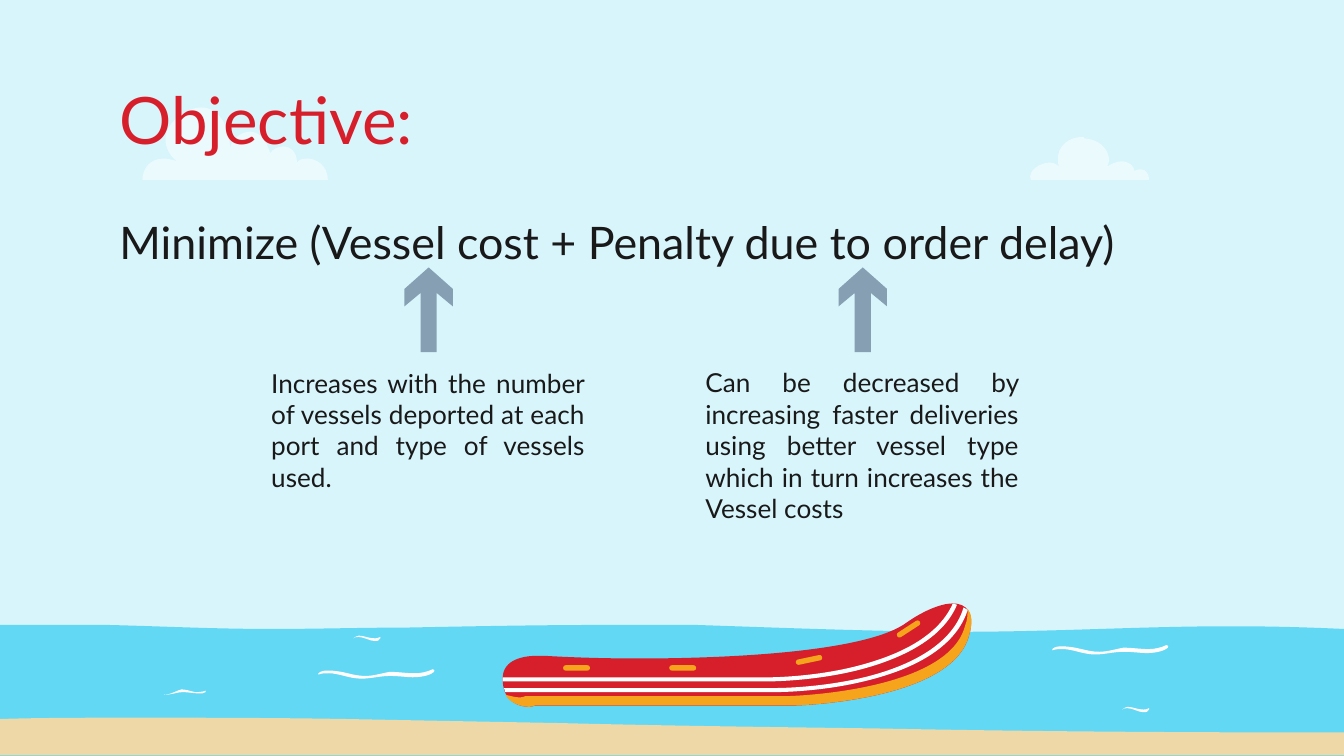
from pptx import Presentation
from pptx.dml.color import RGBColor
from pptx.enum.shapes import MSO_SHAPE
from pptx.enum.text import MSO_ANCHOR, PP_ALIGN
from pptx.oxml.ns import qn
from pptx.util import Cm, Pt
from lxml import etree

ROUNDED = MSO_SHAPE.ROUNDED_RECTANGLE
TOP, LEFT, JUSTIFY = MSO_ANCHOR.TOP, PP_ALIGN.LEFT, PP_ALIGN.JUSTIFY
FONT = "Lato"
COLORS = {"sky": "D8F5FC", "sea": "62D8F4", "sand": "EFD8A8", "white": "FFFFFF",
          "red": "D61F2B", "orange": "F6A41C", "ink": "191919", "arrow": "869FB2"}

# Text: wording, left, top, width, height (inches), size, colour, alignment
TEXTS = [
    ("Objective:", 0.79, 0.59, 8.43, 0.52, 35, "red", LEFT),
    ("Minimize (Vessel cost + Penalty due to order delay)",
     0.79, 1.6, 8.68, 0.42, 24, "ink", LEFT),
    ("Increases with the number of vessels deported at each port and type of "
     "vessels used.", 1.92, 2.73, 2.53, 0.91, 14, "ink", JUSTIFY),
    ("Can be decreased by increasing faster deliveries using better vessel type "
     "which in turn increases the Vessel costs",
     5.15, 2.73, 2.53, 1.2, 14, "ink", JUSTIFY),
]

# Outlines in hundredths of an inch: a start point, then lines (x, y)
# or Bezier curves (x1, y1, x2, y2, x, y)
SEA = [(452, 465), (474, 465, 496, 465, 518, 465), (577, 467, 628, 469, 690, 470),
       (774, 471, 841, 466, 916, 466), (951, 466, 977, 467, 1000, 468),
       (1000, 563), (0, 563), (0, 465), (27, 465, 53, 465, 80, 465),
       (121, 466, 159, 468, 202, 468), (236, 468, 269, 467, 302, 467),
       (351, 466, 402, 465, 452, 465)]
SAND = [(103, 534), (64, 534, 30, 534, 0, 535), (0, 562), (1000, 562), (1000, 545),
        (851, 545, 754, 544, 652, 542), (575, 541, 495, 540, 416, 538),
        (362, 537, 309, 536, 258, 535), (200, 534, 148, 534, 103, 534)]
LONG_WAVE = [(85, 0), (81, 2, 76, 3, 72, 3), (65, 3, 60, 2, 53, 2),
             (47, 3, 41, 5, 35, 5), (25, 5, 19, 1, 7, 1), (5, 1, 2, 1, 0, 3), (0, 4),
             (2, 3, 5, 3, 8, 3), (15, 3, 23, 7, 32, 7), (39, 7, 46, 5, 53, 5),
             (60, 5, 66, 6, 70, 6), (78, 6, 84, 4, 86, 2), (87, 1, 86, 0, 85, 0)]
MID_WAVE = [(13, 0), (9, 1, 5, 4, 0, 4), (6, 4, 10, 2, 14, 2), (18, 2, 22, 3, 26, 3),
            (28, 3, 30, 3, 31, 2), (31, 1), (28, 2, 26, 2, 23, 2),
            (19, 1, 16, 0, 13, 0)]
SHORT_WAVE = [(4, 0), (3, 0, 1, 1, 0, 2), (1, 1, 2, 1, 4, 1), (8, 1, 12, 4, 16, 4),
              (18, 4, 19, 4, 20, 2), (20, 1), (18, 2, 17, 2, 16, 2),
              (11, 2, 8, 0, 4, 0)]
WAVES = [(LONG_WAVE, 237, 498), (SHORT_WAVE, 263, 473), (MID_WAVE, 122, 513),
         (SHORT_WAVE, 835, 526), (LONG_WAVE, 783, 480)]
CLOUDS = [
    [(150, 80), (146, 80, 142, 81, 137, 84), (114, 98, 125, 116, 132, 120),
     (128, 119, 125, 118, 122, 118), (111, 118, 106, 126, 106, 134), (244, 134),
     (244, 123, 235, 118, 229, 118), (225, 118, 222, 119, 221, 121),
     (221, 113, 216, 109, 211, 109), (207, 109, 203, 111, 201, 114),
     (198, 103, 192, 98, 186, 98), (179, 98, 172, 104, 171, 111),
     (172, 99, 165, 80, 150, 80)],
    [(805, 102), (792, 102, 784, 113, 788, 124), (786, 122, 784, 121, 781, 121),
     (774, 121, 764, 127, 767, 134), (855, 134), (855, 130, 853, 126, 849, 126),
     (848, 126, 846, 126, 844, 127), (844, 123, 839, 120, 835, 120),
     (831, 120, 826, 122, 824, 124), (828, 115, 821, 104, 807, 103),
     (807, 102, 806, 102, 805, 102)],
]
RAFT = [
    ("red", [(709, 449), (699, 449, 685, 456, 675, 463), (646, 485, 544, 490, 475, 490),
             (435, 490, 405, 488, 405, 488), (405, 488, 403, 488, 400, 488),
             (391, 488, 374, 490, 374, 505), (374, 523, 387, 526, 394, 526),
             (396, 526, 398, 525, 398, 525), (592, 525),
             (592, 525, 708, 522, 721, 473), (726, 456, 719, 449, 709, 449)]),
    ("orange", [(720, 453), (720, 457, 720, 461, 718, 466),
                (705, 515, 587, 518, 587, 518), (391, 518),
                (391, 518, 389, 519, 387, 519), (384, 519, 380, 518, 376, 517),
                (380, 524, 389, 526, 394, 526), (396, 526, 398, 525, 398, 525),
                (592, 525), (592, 525, 708, 522, 721, 473),
                (724, 463, 723, 457, 720, 453)]),
    ("white", [(717, 452), (708, 482, 672, 497, 643, 504), (610, 512, 578, 512, 578, 512),
               (375, 512), (376, 515), (578, 515), (578, 515, 610, 515, 643, 507),
               (685, 497, 712, 479, 720, 454), (717, 452)]),
    ("white", [(709, 449), (697, 476, 664, 489, 636, 496), (604, 504, 572, 504, 572, 504),
               (374, 504), (374, 507), (572, 507), (572, 507, 604, 507, 637, 499),
               (677, 489, 703, 472, 712, 450), (709, 449)]),
]
# Raft handles: centre x, centre y (inches), rotation
HANDLES = [(4.29, 4.97, 0), (5.08, 4.97, 0), (6.02, 4.91, -12), (6.76, 4.68, -33)]
ARROW = [(0, 29), (12, 19), (12, 63), (24, 63), (24, 19), (36, 29), (36, 16),
         (18, 0), (0, 16)]
ARROW_LEFTS = [301, 624]


def inch(v):
    return Cm(v * 2.54)


def paint(sp, color, alpha=None):
    sp.shadow.inherit = False
    sp.fill.solid()
    sp.fill.fore_color.rgb = RGBColor.from_string(COLORS[color])
    sp.line.fill.background()
    if alpha is not None:
        clr = sp._element.spPr.find(qn("a:solidFill"))[0]
        etree.SubElement(clr, qn("a:alpha"), val=str(alpha * 1000))


def draw(shapes, outline, color, dx=0, dy=0, alpha=None):
    ends = [(seg[-2] + dx, seg[-1] + dy) for seg in outline]
    fb = shapes.build_freeform(*ends[0], scale=inch(0.01))
    fb.add_line_segments(ends[1:], close=True)
    sp = fb.convert_to_shape()
    # Turn the line segments that have control points into curves
    left, top = (min(axis) for axis in zip(*ends))
    lines = list(sp._element.spPr.iter(qn("a:lnTo")))
    for line, seg in zip(lines, outline[1:]):
        if len(seg) == 6:
            curve = etree.Element(qn("a:cubicBezTo"))
            for x, y in zip(seg[::2], seg[1::2]):
                etree.SubElement(curve, qn("a:pt"),
                                 x=str(x + dx - left), y=str(y + dy - top))
            line.getparent().replace(line, curve)
    paint(sp, color, alpha)


def add_text(shapes, text, x, y, w, h, size, color, align):
    tf = shapes.add_textbox(*map(inch, (x, y, w, h))).text_frame
    tf.word_wrap = True
    tf.vertical_anchor = TOP
    tf.margin_left = tf.margin_right = tf.margin_bottom = inch(0.1)
    tf.margin_top = 0
    p = tf.paragraphs[0]
    p.alignment = align
    r = p.add_run()
    r.text = text
    r.font.name = FONT
    r.font.size = Pt(size)
    r.font.color.rgb = RGBColor.from_string(COLORS[color])


prs = Presentation()
prs.slide_width, prs.slide_height = inch(10), inch(5.625)
s = prs.slides.add_slide(prs.slide_layouts[6])
s.background.fill.solid()
s.background.fill.fore_color.rgb = RGBColor.from_string(COLORS["sky"])

# Scenery
draw(s.shapes, SEA, "sea")
draw(s.shapes, SAND, "sand")
for wave, x, y in WAVES:
    draw(s.shapes, wave, "white", x, y)
for cloud in CLOUDS:
    draw(s.shapes, cloud, "white", alpha=50)

# Raft
raft = s.shapes.add_group_shape().shapes
for color, outline in RAFT:
    draw(raft, outline, color)
for cx, cy, angle in HANDLES:
    sp = raft.add_shape(ROUNDED, inch(cx - 0.1), inch(cy - 0.02), inch(0.2), inch(0.04))
    sp.adjustments[0] = 0.5
    sp.rotation = angle
    paint(sp, "orange")

# Arrows and text
for left in ARROW_LEFTS:
    draw(s.shapes, ARROW, "arrow", left, 199)
for item in TEXTS:
    add_text(s.shapes, *item)

prs.save("out.pptx")
